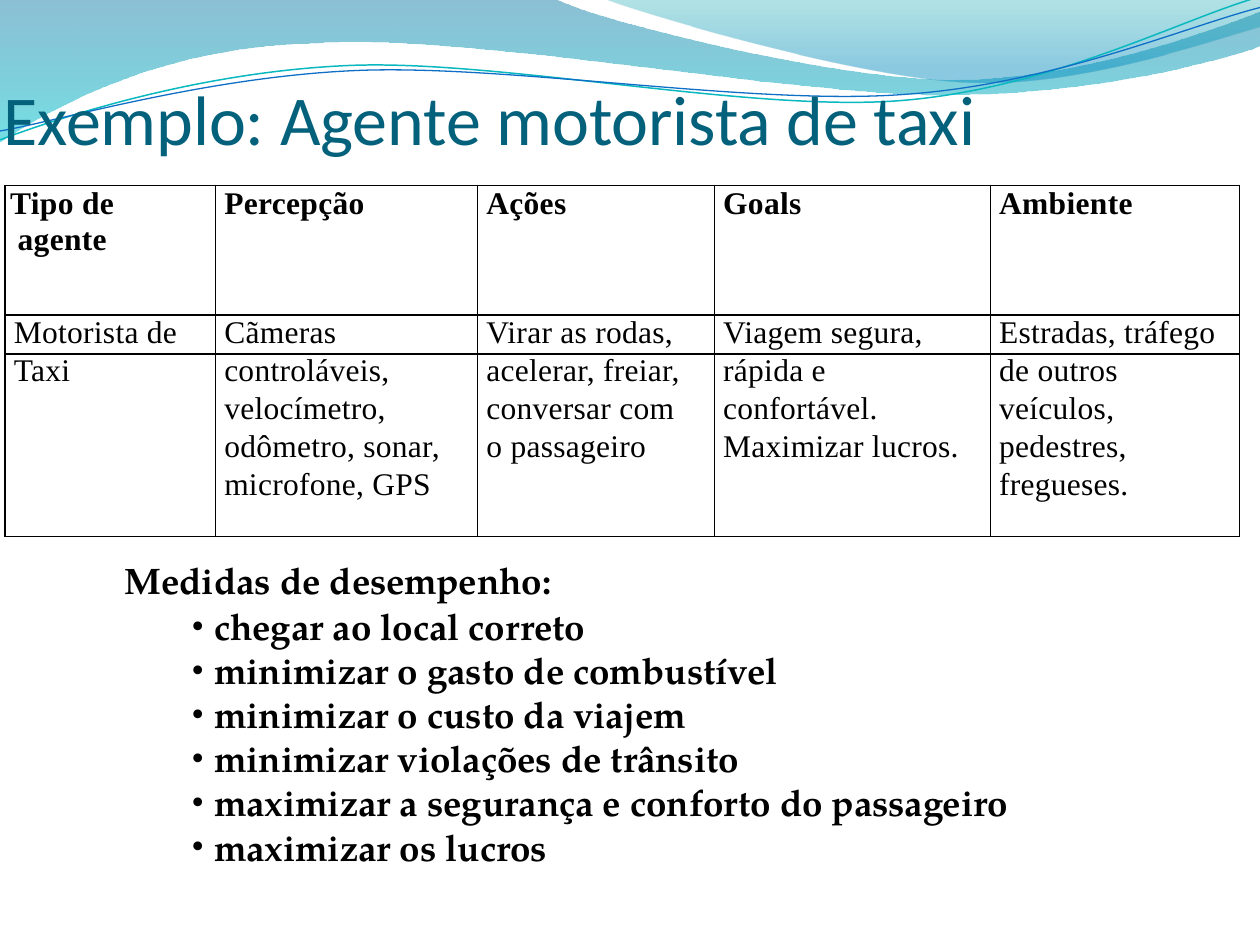
from math import cos, radians, sin

from lxml import etree
from pptx import Presentation
from pptx.dml.color import RGBColor
from pptx.enum.text import MSO_ANCHOR, MSO_AUTO_SIZE
from pptx.oxml.ns import qn
from pptx.util import Inches, Pt

BOTTOM, TOP = MSO_ANCHOR.BOTTOM, MSO_ANCHOR.TOP
GROW = MSO_AUTO_SIZE.SHAPE_TO_FIT_TEXT

COLORS = {
    "title": "04617B", "text": "000000", "border": "000000",
    "deep": "0074A1", "aqua": "00C6CF", "teal": "00A1A9", "sky": "008BBF",
    "teal_line": "0AB8BF", "blue_line": "0F6FC6",
}

LEFT_WAVE = [
    (0, 0), (4.4, -0.01),
    (4.76, 0.17, 6.64, 0.63, 7.58, 0.63), (8.53, 0.63, 9.58, 0.26, 10, 0.09),
    (10.01, 0.36),
    (9.83, 0.44, 8.7, 0.76, 7.46, 0.75), (6.22, 0.75, 3.82, 0.28, 2.57, 0.34),
    (1.29, 0.36, 0.46, 0.83, -0.01, 1.13), (0, 0),
]
RIGHT_WAVE = [
    (4.79, -0.01), (5.09, 0.11, 6.82, 0.62, 7.69, 0.65),
    (8.56, 0.69, 9.61, 0.32, 10, 0.21), (10, 0), (4.79, -0.01),
]
TEAL_STRAND = [
    (0, 1.11), (0.48, 0.93, 1.58, 0.57, 2.77, 0.52),
    (3.95, 0.47, 5.93, 0.89, 7.13, 0.8), (8.33, 0.71, 9.38, 0.15, 9.98, -0.02),
]
BLUE_STRAND = [
    (0, 1.04), (0.47, 0.96, 1.64, 0.61, 2.83, 0.56),
    (4.03, 0.51, 5.97, 0.84, 7.17, 0.75), (8.36, 0.67, 9.41, 0.21, 10, 0.06),
]
STRAND_TILT = -2.7

AGENT_ROWS = [
    ["Tipo de agente", "Percepção", "Ações", "Goals", "Ambiente"],
    ["Motorista de", "Cãmeras", "Virar as rodas,", "Viagem segura,", "Estradas, tráfego"],
    ["Taxi", "controláveis,", "acelerar, freiar,", "rápida e", "de outros"],
    ["", "velocímetro,", "conversar com", "confortável.", "veículos,"],
    ["", "odômetro, sonar,", "o passageiro", "Maximizar lucros.", "pedestres,"],
    ["", "microfone, GPS", "", "", "fregueses."],
]
COLUMN_WIDTHS = [1.67, 2.08, 1.88, 2.19, 1.98]
ROW_HEIGHTS = [1.03, 0.31, 0.3, 0.3, 0.3, 0.55]
ROW_LEADING = [20.4, 20.2, 19.6, 19.6, 19.6, 19.9]
RULED_BELOW = {0, 1, 5}

MEASURES = [
    "chegar ao local correto",
    "minimizar o gasto de combustível",
    "minimizar o custo da viajem",
    "minimizar violações de trânsito",
    "maximizar a segurança e conforto do passageiro",
    "maximizar os lucros",
]


def pairs(segment):
    return list(zip(segment[::2], segment[1::2]))


def turned(segments, center, degrees):
    c, s = cos(radians(degrees)), sin(radians(degrees))
    cx, cy = center
    return [
        [value for x, y in pairs(segment)
         for value in (cx + (x - cx) * c - (y - cy) * s, cy + (x - cx) * s + (y - cy) * c)]
        for segment in segments]


def write(paragraph, text, font="Calibri", size=18, color="text", bold=False,
          tracking=0, margin=0, indent=0, leading=None, bullet=None):
    properties = paragraph._p.get_or_add_pPr()
    properties.set("marL", str(Inches(margin)))
    properties.set("indent", str(Inches(indent)))
    if leading:
        paragraph.line_spacing = Pt(leading)
    if bullet:
        etree.SubElement(properties, qn("a:buFont")).set("typeface", "Times New Roman")
        etree.SubElement(properties, qn("a:buChar")).set("char", bullet)
    if not text:
        return
    run = paragraph.add_run()
    run.text = text
    run.font.name = font
    run.font.size = Pt(size)
    run.font.bold = bold
    run.font.color.rgb = RGBColor.from_string(COLORS[color])
    run._r.get_or_add_rPr().set("spc", str(round(tracking * 100)))


class SlideBuilder:
    body_font = "Times New Roman"
    list_font = "TeX Gyre Pagella"
    border_width = 0.75

    def __init__(self, slide):
        self.slide = slide

    def outline(self, segments, closed):
        anchors = [tuple(map(Inches, segment[-2:])) for segment in segments]
        builder = self.slide.shapes.build_freeform(*anchors[0])
        builder.add_line_segments(anchors[1:], close=closed)
        shape = builder.convert_to_shape()
        shape.shadow.inherit = False
        lines = list(shape._element.iter(qn("a:lnTo")))
        for line, segment in zip(lines, segments[1:]):
            if len(segment) == 6:
                curve = etree.Element(qn("a:cubicBezTo"))
                for x, y in pairs(segment):
                    etree.SubElement(curve, qn("a:pt"), x=str(Inches(x) - shape.left),
                                     y=str(Inches(y) - shape.top))
                line.getparent().replace(line, curve)
        return shape

    def wave(self, segments, stops):
        shape = self.outline(segments, True)
        shape.line.fill.background()
        shape.fill.gradient()
        shape.fill.gradient_angle = 270
        for stop, (position, color, _) in zip(shape.fill.gradient_stops, stops):
            stop.position = position
            stop.color.rgb = RGBColor.from_string(COLORS[color])
        tints = shape._element.spPr.iter(qn("a:srgbClr"))
        for tint, (_, _, opacity) in zip(tints, stops):
            etree.SubElement(tint, qn("a:alpha")).set("val", str(opacity * 1000))

    def strand(self, segments, center, color, width):
        shape = self.outline(turned(segments, center, -STRAND_TILT), False)
        shape.rotation = STRAND_TILT
        shape.fill.background()
        shape.line.color.rgb = RGBColor.from_string(COLORS[color])
        shape.line.width = Pt(width)

    def text(self, left, top, width, height, anchor=TOP):
        box = self.slide.shapes.add_textbox(*map(Inches, (left, top, width, height)))
        frame = box.text_frame
        frame.word_wrap = True
        frame.auto_size = GROW
        frame.vertical_anchor = anchor
        frame.margin_left = frame.margin_right = frame.margin_bottom = 0
        frame.margin_top = Inches(0.01)
        return frame

    def cell_borders(self, cell, ruled):
        properties = cell._tc.get_or_add_tcPr()
        for place, side in enumerate(("L", "R", "T", "B")):
            line = etree.Element(qn(f"a:ln{side}"), w=str(Pt(self.border_width)))
            if side in ruled:
                fill = etree.SubElement(line, qn("a:solidFill"))
                etree.SubElement(fill, qn("a:srgbClr")).set("val", COLORS["border"])
            else:
                etree.SubElement(line, qn("a:noFill"))
            properties.insert(place, line)

    def table(self, left, top):
        size = (sum(COLUMN_WIDTHS), sum(ROW_HEIGHTS))
        table = self.slide.shapes.add_table(
            len(AGENT_ROWS), len(COLUMN_WIDTHS), *map(Inches, (left, top, *size))).table
        table.first_row = table.horz_banding = False
        for column, width in zip(table.columns, COLUMN_WIDTHS):
            column.width = Inches(width)
        for r, (words, height, leading) in enumerate(zip(AGENT_ROWS, ROW_HEIGHTS, ROW_LEADING)):
            table.rows[r].height = Inches(height)
            ruled = "LR" + "T" * (r == 0 or r - 1 in RULED_BELOW) + "B" * (r in RULED_BELOW)
            for c, word in enumerate(words):
                corner = r == c == 0
                cell = table.cell(r, c)
                cell.margin_left = cell.margin_top = cell.margin_bottom = 0
                cell.margin_right = Inches(0.4 if corner else 0)
                cell.fill.background()
                self.cell_borders(cell, ruled)
                write(cell.text_frame.paragraphs[0], word, font=self.body_font, bold=r == 0,
                      tracking=0.2 if r == 0 else 0.18, leading=20.6 if corner else leading,
                      margin=0.1 if corner else 0.07, indent=-0.06 if corner else 0)


def main():
    deck = Presentation()
    deck.slide_width, deck.slide_height = Inches(10), Inches(7.5)
    page = SlideBuilder(deck.slides.add_slide(deck.slide_layouts[6]))

    page.wave(LEFT_WAVE, [(0, "deep", 45), (1, "aqua", 55)])
    page.wave(RIGHT_WAVE, [(0, "teal", 30), (0.8, "sky", 45)])
    page.strand(TEAL_STRAND, (4.99, 0.57), "teal_line", 0.85)
    page.strand(BLUE_STRAND, (5, 0.59), "blue_line", 0.75)

    title = page.text(0.02, 0.47, 9.45, 0.8, BOTTOM)
    write(title.paragraphs[0], "Exemplo: Agente motorista de taxi", size=40,
          color="title", tracking=-0.05, margin=0.01, leading=55.8)

    page.table(0.04, 1.47)

    measures = page.text(0.98, 4.42, 7.56, 2.5)
    style = {"font": page.list_font, "size": 21, "bold": True, "tracking": -0.05}
    write(measures.paragraphs[0], "Medidas de desempenho:", margin=0.01, **style)
    for measure in MEASURES:
        write(measures.add_paragraph(), measure, margin=0.72, indent=-0.18, bullet="•", **style)
    measures.paragraphs[1].space_before = Pt(0.9)

    deck.save("out.pptx")


if __name__ == "__main__":
    main()
